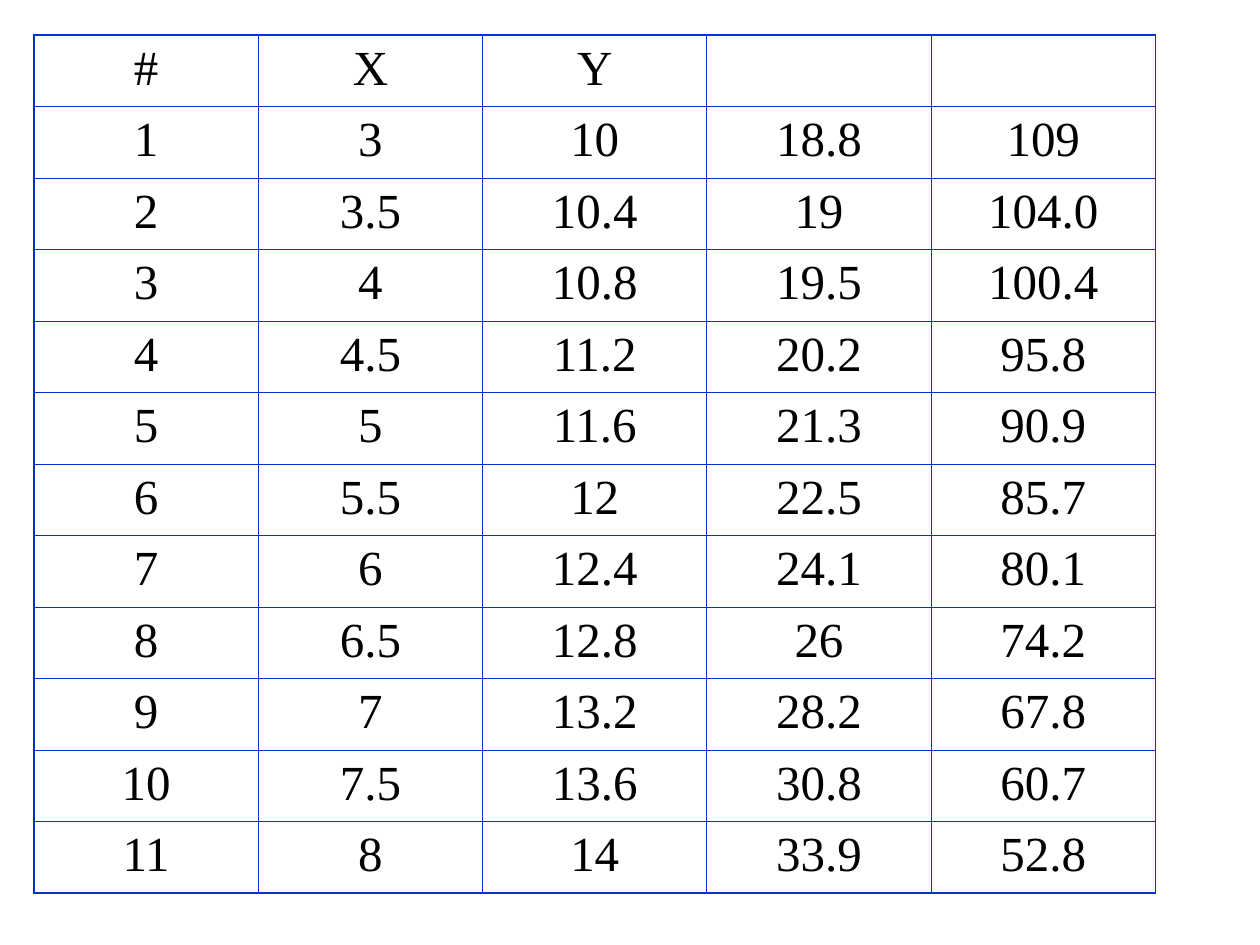
from lxml import etree
from pptx import Presentation
from pptx import util as u
from pptx.dml.color import RGBColor
from pptx.enum import text
from pptx.oxml import ns

# Content: one tuple per table row
ROWS = [
    ("#", "X", "Y", "", ""),
    ("1", "3", "10", "18.8", "109"),
    ("2", "3.5", "10.4", "19", "104.0"),
    ("3", "4", "10.8", "19.5", "100.4"),
    ("4", "4.5", "11.2", "20.2", "95.8"),
    ("5", "5", "11.6", "21.3", "90.9"),
    ("6", "5.5", "12", "22.5", "85.7"),
    ("7", "6", "12.4", "24.1", "80.1"),
    ("8", "6.5", "12.8", "26", "74.2"),
    ("9", "7", "13.2", "28.2", "67.8"),
    ("10", "7.5", "13.6", "30.8", "60.7"),
    ("11", "8", "14", "33.9", "52.8"),
]

THEME = {
    "font": {"name": "Times New Roman", "size": u.Pt(28)},
    "ink": RGBColor(0, 0, 0),
    "fill": RGBColor(255, 255, 255),
    "fill_alpha": 50,
    "border": "0033CC",
    "outer": u.Pt(1.08),
    "inner": u.Pt(0.45),
}
LEFT, TOP, WIDTH, HEIGHT = (u.Inches(v) for v in (0.27, 0.28, 8.9, 6.81))


def add_border(cell, side, width):
    ln = etree.SubElement(cell._tc.get_or_add_tcPr(), ns.qn(f"a:ln{side}"), w=str(width))
    fill = etree.SubElement(ln, ns.qn("a:solidFill"))
    etree.SubElement(fill, ns.qn("a:srgbClr"), val=THEME["border"])


def fill_cell(cell):
    cell.fill.solid()
    cell.fill.fore_color.rgb = THEME["fill"]
    color = cell._tc.tcPr.find(".//" + ns.qn("a:srgbClr") + f"[@val='{THEME['fill']}']")
    etree.SubElement(color, ns.qn("a:alpha"), val=str(THEME["fill_alpha"] * 1000))


def write_cell(cell, value):
    p = cell.text_frame.paragraphs[0]
    p.alignment = text.PP_ALIGN.CENTER
    for name, setting in THEME["font"].items():
        setattr(p.font, name, setting)
    if value:
        r = p.add_run()
        r.text = value
        for name, setting in THEME["font"].items():
            setattr(r.font, name, setting)
        r.font.color.rgb = THEME["ink"]


def main():
    prs = Presentation()
    prs.slide_width, prs.slide_height = u.Inches(10), u.Inches(7.5)
    s = prs.slides.add_slide(prs.slide_layouts[6])

    # Table with equal columns and rows
    n_rows, n_cols = len(ROWS), len(ROWS[0])
    table = s.shapes.add_table(n_rows, n_cols, LEFT, TOP, WIDTH, HEIGHT).table
    table.first_row = table.horz_banding = False

    # Cells: heavier border on the outer edge
    for i, row in enumerate(ROWS):
        for j, value in enumerate(row):
            cell = table.cell(i, j)
            write_cell(cell, value)
            edges = {"L": j == 0, "R": j == n_cols - 1, "T": i == 0, "B": i == n_rows - 1}
            for side, is_outer in edges.items():
                add_border(cell, side, THEME["outer" if is_outer else "inner"])
            fill_cell(cell)

    prs.save("out.pptx")


if __name__ == "__main__":
    main()
